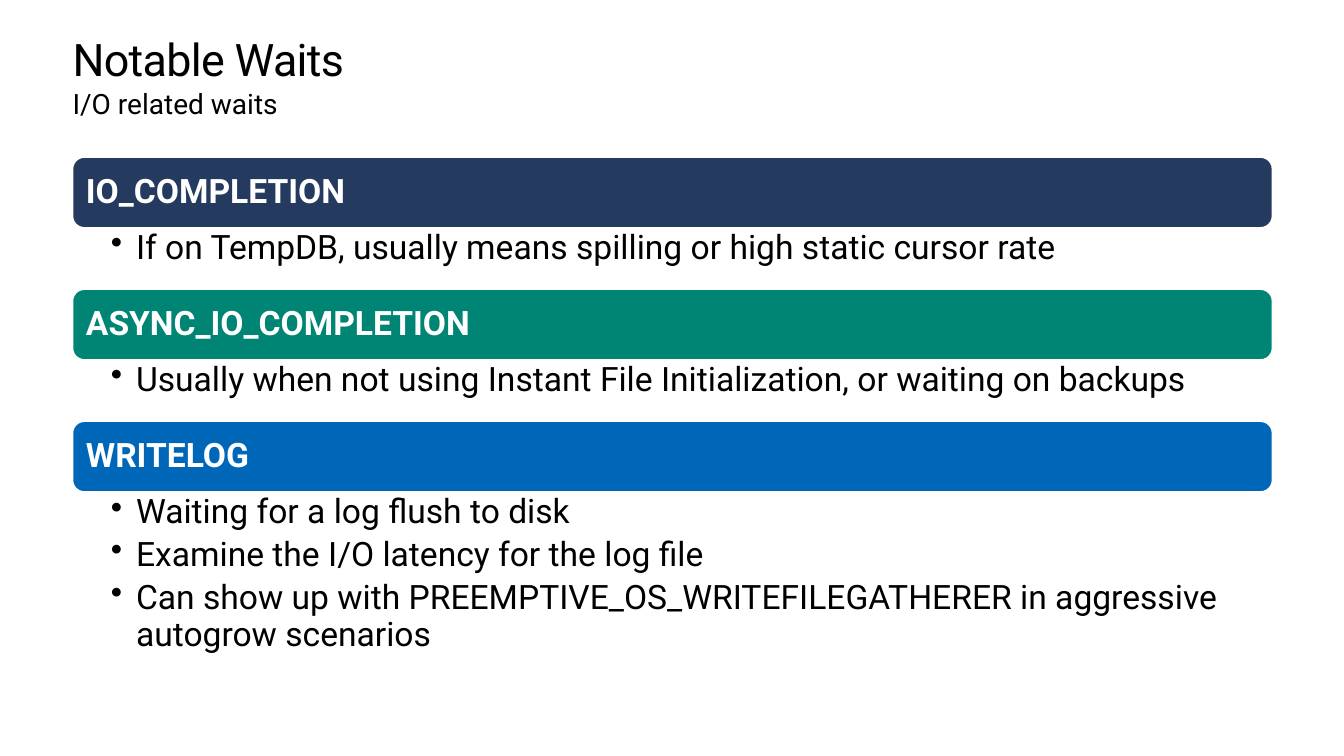
"""Build the slide on notable I/O related waits."""
import pptx
import pptx.dml.color
import pptx.enum.shapes
import pptx.enum.text
import pptx.oxml.xmlchemy
import pptx.util
from lxml import etree

Inches = pptx.util.Inches
Pt = pptx.util.Pt
RGBColor = pptx.dml.color.RGBColor

BLACK = RGBColor(0x00, 0x00, 0x00)
WHITE = RGBColor(0xFF, 0xFF, 0xFF)
NAVY = RGBColor(0x24, 0x3A, 0x5E)
GREEN = RGBColor(0x00, 0x85, 0x75)
BLUE = RGBColor(0x00, 0x67, 0xB8)

FONT = "Roboto"
LEFT, WIDTH = 0.72, 11.9
STACK_TOP = 1.56
BAR_HEIGHT = 0.7
LIST_HEIGHTS = {1: 0.61, 3: 1.85}
BULLET_INDENT = 0.25

WAITS = [
    ("IO_COMPLETION", NAVY,
     ["If on TempDB, usually means spilling or high static cursor rate"]),
    ("ASYNC_IO_COMPLETION", GREEN,
     ["Usually when not using Instant File Initialization, or waiting on backups"]),
    ("WRITELOG", BLUE,
     ["Waiting for a log flush to disk",
      "Examine the I/O latency for the log file",
      "Can show up with PREEMPTIVE_OS_WRITEFILEGATHERER in aggressive autogrow scenarios"]),
]


def set_frame(shape, margins, anchor=pptx.enum.text.MSO_ANCHOR.TOP):
    """Set wrapping, anchor and margins (left, top, right, bottom)."""
    frame = shape.text_frame
    frame.word_wrap = True
    frame.vertical_anchor = anchor
    (frame.margin_left, frame.margin_top,
     frame.margin_right, frame.margin_bottom) = map(Inches, margins)
    return frame


def add_run(paragraph, text, size, color, bold=False):
    """Add one formatted, left-aligned run."""
    paragraph.alignment = pptx.enum.text.PP_ALIGN.LEFT
    run = paragraph.add_run()
    run.text = text
    run.font.name = FONT
    run.font.size = Pt(size)
    run.font.bold = bold
    run.font.color.rgb = color
    return run


def add_text_box(slide, top, height, margins=(0, 0, 0, 0)):
    """Add a full-width text box and return its frame."""
    box = slide.shapes.add_textbox(
        Inches(LEFT), Inches(top), Inches(WIDTH), Inches(height))
    return set_frame(box, margins)


def add_headings(slide):
    """Add the title and the subtitle."""
    title = add_text_box(slide, 0.35, 0.5).paragraphs[0]
    title.line_spacing = Pt(36.2)
    run = add_run(title, "Notable Waits", 32, BLACK)
    run.font._element.set("spc", "-50")
    subtitle = add_text_box(slide, 0.86, 0.5).paragraphs[0]
    subtitle.space_before = Pt(6.7)
    add_run(subtitle, "I/O related waits", 20, BLACK)


def add_bar(slide, top, name, color):
    """Add the rounded bar that names a wait."""
    bar = slide.shapes.add_shape(
        pptx.enum.shapes.MSO_SHAPE.ROUNDED_RECTANGLE,
        Inches(LEFT), Inches(top), Inches(WIDTH), Inches(BAR_HEIGHT))
    bar.shadow.inherit = False
    bar.fill.solid()
    bar.fill.fore_color.rgb = color
    bar.line.color.rgb = WHITE
    bar.line.width = Pt(1)
    frame = set_frame(bar, (0.1, 0.1, 0.1, 0.1), pptx.enum.text.MSO_ANCHOR.MIDDLE)
    paragraph = frame.paragraphs[0]
    paragraph.line_spacing = 0.9
    add_run(paragraph, name, 24, WHITE, bold=True)


def add_bullets(slide, top, height, notes):
    """Add the bulleted notes below a bar."""
    frame = add_text_box(slide, top, height, (0.38, 0.03, 0.19, 0.03))
    for index, note in enumerate(notes):
        paragraph = frame.add_paragraph() if index else frame.paragraphs[0]
        paragraph.line_spacing = 0.9
        paragraph.space_after = Pt(4.8)
        add_run(paragraph, note, 24, BLACK)
        properties = paragraph._p.get_or_add_pPr()
        properties.set("marL", str(Inches(BULLET_INDENT)))
        properties.set("indent", str(-Inches(BULLET_INDENT)))
        bullet = etree.SubElement(properties, pptx.oxml.ns.qn("a:buChar"))
        bullet.set("char", "•")


def main():
    """Build and save the slide."""
    presentation = pptx.Presentation()
    presentation.slide_width = Inches(13.33)
    presentation.slide_height = Inches(7.5)
    slide = presentation.slides.add_slide(presentation.slide_layouts[6])
    add_headings(slide)
    top = STACK_TOP
    for name, color, notes in WAITS:
        height = LIST_HEIGHTS[len(notes)]
        add_bar(slide, top, name, color)
        add_bullets(slide, top + BAR_HEIGHT, height, notes)
        top += BAR_HEIGHT + height
    presentation.save("out.pptx")


if __name__ == "__main__":
    main()
